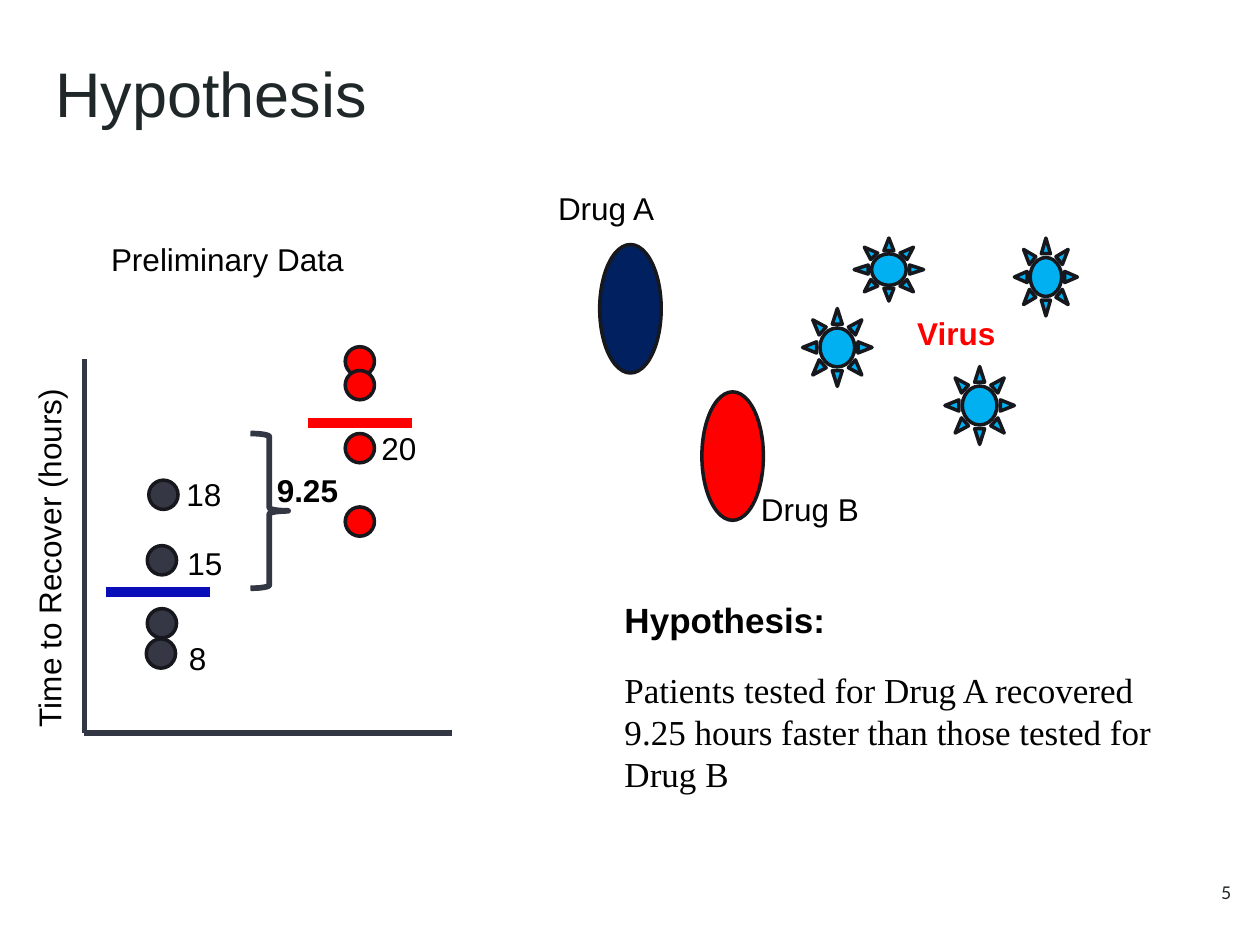
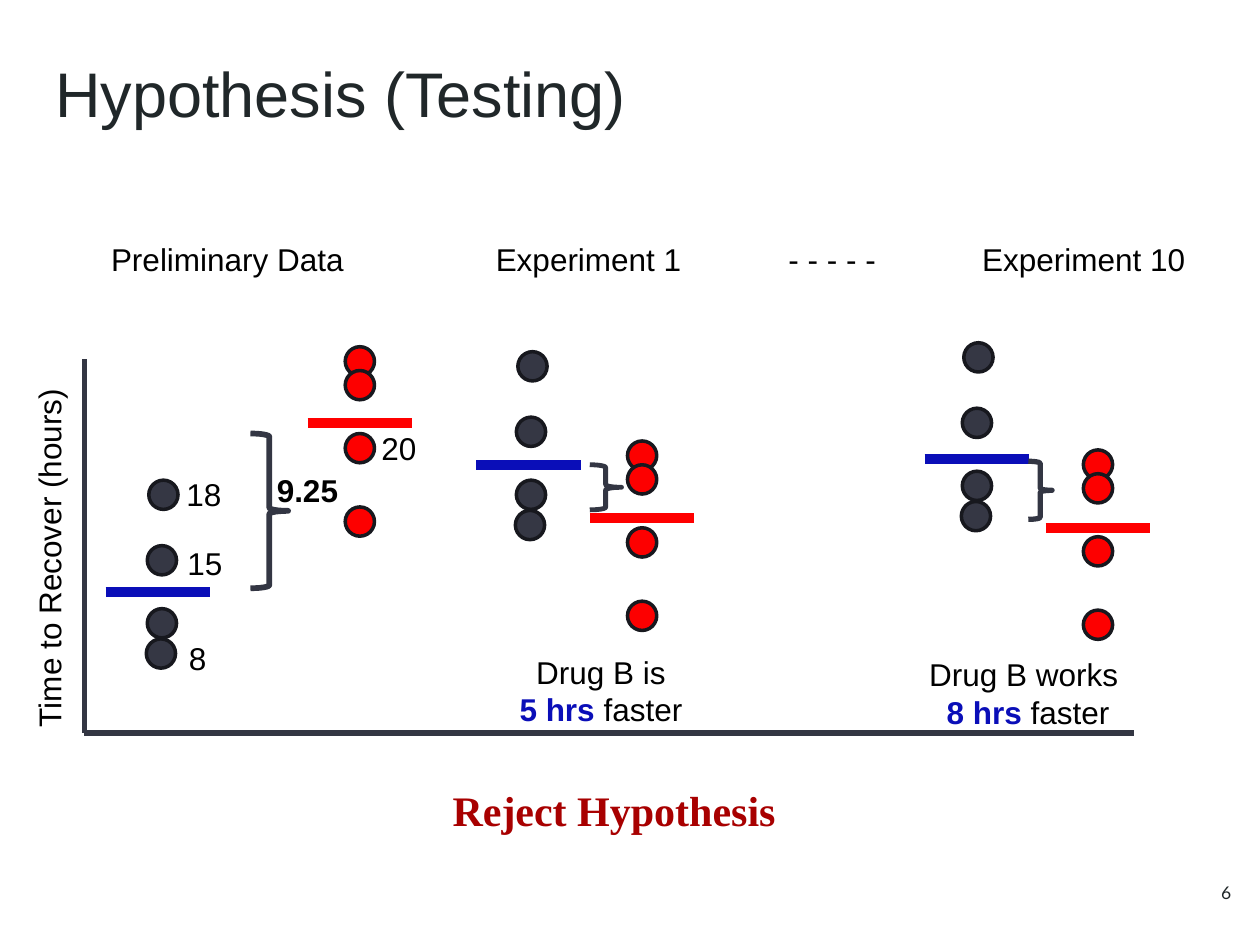
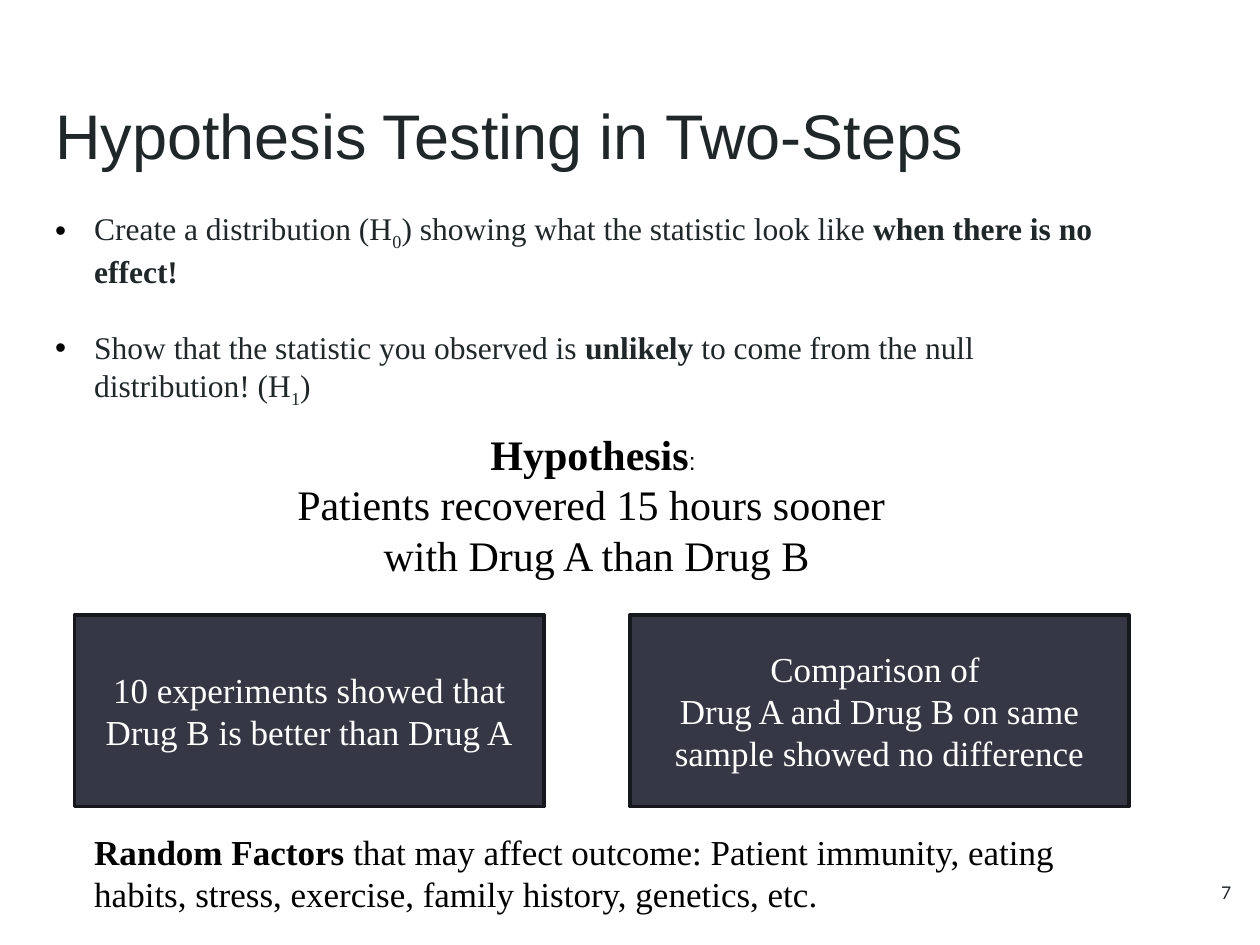
from dataclasses import dataclass
from typing import Optional

from lxml.etree import SubElement
from pptx import Presentation
from pptx.dml.color import RGBColor
from pptx.enum.shapes import MSO_CONNECTOR, MSO_SHAPE
from pptx.enum.text import MSO_ANCHOR, MSO_AUTO_SIZE, PP_ALIGN
from pptx.oxml.ns import qn
from pptx.util import Cm, Pt

# Shared colours and fonts
BLACK = RGBColor(0x00, 0x00, 0x00)
WHITE = RGBColor(0xFF, 0xFF, 0xFF)
INK = RGBColor(0x20, 0x27, 0x29)
SLATE = RGBColor(0x35, 0x37, 0x44)
AXIS = RGBColor(0x33, 0x36, 0x43)
OUTLINE = RGBColor(0x17, 0x18, 0x1E)
RED = RGBColor(0xFF, 0x00, 0x00)
DOT_RED = RGBColor(0xFD, 0x00, 0x00)
DARK_RED = RGBColor(0xA8, 0x00, 0x00)
BLUE = RGBColor(0x0A, 0x0E, 0xB8)
NAVY = RGBColor(0x00, 0x20, 0x60)
SKY = RGBColor(0x00, 0xB0, 0xF0)
SANS = "Arial"
SERIF = "Times New Roman"
NUMBER_FONT = "Lato"

# Dot positions in centimetres, relative to the top dot of each group
DRUG_A_DOTS = [(0, 0), (-0.03, 1.32), (-0.03, 2.59), (-0.05, 3.2)]
DRUG_B_DOTS = [(0, 0), (0, 0.48), (0, 1.75), (0, 3.23)]
DOT_SIZE = 0.59
MEAN_LENGTH = 2.11
LINE_HEIGHT = 1.02
HEADING_TOP = 4.72


@dataclass
class Run:
    """A piece of text with what differs from its text box."""
    text: str
    bold: Optional[bool] = None
    color: Optional[RGBColor] = None
    size: Optional[float] = None
    font: Optional[str] = None
    subscript: bool = False


def write_text(text_frame, paragraphs, size=18, font=SANS, color=BLACK,
               bold=False, align=PP_ALIGN.LEFT, gap=0, bullet=False):
    """Each paragraph is a string or a list of Runs."""
    text_frame.word_wrap = True
    for index, content in enumerate(paragraphs):
        paragraph = text_frame.paragraphs[0] if index == 0 else text_frame.add_paragraph()
        if bullet:
            add_bullet(paragraph)
        paragraph.alignment = align
        if index and gap:
            paragraph.space_before = Pt(gap)
        pieces = [Run(content)] if isinstance(content, str) else content
        for piece in pieces:
            run = paragraph.add_run()
            run.text = piece.text
            run.font.name = piece.font or font
            run.font.size = Pt(piece.size or size)
            run.font.bold = bold if piece.bold is None else piece.bold
            run.font.color.rgb = piece.color or color
            if piece.subscript:
                run.font._element.set("baseline", "-25000")


def add_bullet(paragraph):
    properties = paragraph._p.get_or_add_pPr()
    properties.set("marL", str(Cm(0.79)))
    properties.set("indent", str(Cm(-0.79)))
    bullet_color = SubElement(properties, qn("a:buClr"))
    SubElement(bullet_color, qn("a:srgbClr")).set("val", str(BLACK))
    SubElement(properties, qn("a:buFont")).set("typeface", SANS)
    SubElement(properties, qn("a:buChar")).set("char", "•")


def add_text(slide, box, *paragraphs, **style):
    shape = slide.shapes.add_textbox(*map(Cm, box))
    write_text(shape.text_frame, paragraphs, **style)
    return shape


def add_label(slide, left, top, text, width=2.5, **style):
    return add_text(slide, (left, top, width, LINE_HEIGHT), text, **style)


def add_heading(slide, left, text, width=6.35):
    add_label(slide, left, HEADING_TOP, text, width, align=PP_ALIGN.CENTER)


def add_filled_shape(slide, kind, box, fill):
    shape = slide.shapes.add_shape(kind, *map(Cm, box))
    shape.shadow.inherit = False
    shape.fill.solid()
    shape.fill.fore_color.rgb = fill
    shape.line.color.rgb = OUTLINE
    shape.line.width = Pt(2)
    return shape


def add_line(slide, start, end, color, width):
    points = map(Cm, (*start, *end))
    connector = slide.shapes.add_connector(MSO_CONNECTOR.STRAIGHT, *points)
    connector.line.color.rgb = color
    connector.line.width = Pt(width)
    SubElement(connector._element.spPr, qn("a:effectLst"))


def add_brace(slide, box, width):
    brace = slide.shapes.add_shape(MSO_SHAPE.RIGHT_BRACE, *map(Cm, box))
    brace.shadow.inherit = False
    brace.fill.background()
    brace.line.color.rgb = AXIS
    brace.line.width = Pt(width)


def add_dots(slide, left, top, offsets, fill):
    for across, down in offsets:
        box = (left + across, top + down, DOT_SIZE, DOT_SIZE)
        add_filled_shape(slide, MSO_SHAPE.OVAL, box, fill)


def add_mean(slide, left, top, color, width):
    add_line(slide, (left, top), (left + MEAN_LENGTH, top), color, width)


def add_comparison(slide, dots_a, mean_a, dots_b, mean_b, brace, brace_width):
    """Results of both drugs, their means and the gap between the means."""
    add_dots(slide, *dots_a, DRUG_A_DOTS, SLATE)
    add_dots(slide, *dots_b, DRUG_B_DOTS, DOT_RED)
    add_mean(slide, *mean_a, BLUE, 5.75)
    add_mean(slide, *mean_b, RED, 5.5)
    add_brace(slide, brace, brace_width)


def add_preliminary_plot(slide, axis_end):
    add_heading(slide, 1.22, "Preliminary Data", 6.73)
    add_line(slide, (1.7, 7.24), (1.7, 14.78), AXIS, 2.5)
    add_line(slide, (1.7, 14.78), (axis_end, 14.78), AXIS, 3.5)
    axis_title = add_label(slide, -2.72, 10.69, "Time to Recover (hours)", 7.42)
    axis_title.text_frame.word_wrap = False
    axis_title.rotation = 270
    add_comparison(slide, (3, 9.68), (2.13, 11.94), (6.96, 6.99), (6.2, 8.53),
                   (5.05, 8.74, 0.76, 3.12), 3.25)
    for left, top, value in [(3.51, 9.45, "18"), (3.53, 10.85, "15"),
                             (3.56, 12.75, "8"), (7.44, 8.53, "20")]:
        add_label(slide, left, top, value)
    add_label(slide, 5.33, 9.37, "9.25", 1.83, bold=True)


def add_slide(presentation, title_text, number, title_top=0.81):
    slide = presentation.slides.add_slide(presentation.slide_layouts[5])
    title = slide.shapes.title
    title.left, title.top, title.width, title.height = map(Cm, (0.86, title_top, 23.67, 2.11))
    write_text(title.text_frame, [title_text], size=36, color=INK)
    number_box = add_text(slide, (23.55, 17.27, 1.52, 1.45), str(number), size=10,
                          font=NUMBER_FONT, color=INK, align=PP_ALIGN.RIGHT)
    for shape in (title, number_box):
        frame = shape.text_frame
        frame.auto_size = MSO_AUTO_SIZE.NONE
        frame.vertical_anchor = MSO_ANCHOR.MIDDLE
        frame.margin_left = frame.margin_right = Cm(0.25)
        frame.margin_top = frame.margin_bottom = Cm(0.25)
    return slide


def build_hypothesis(presentation):
    slide = add_slide(presentation, "Hypothesis", 5)

    # Drugs and viruses
    for box in [(16.18, 6.22, 1.4, 1.57), (17.22, 4.8, 1.4, 1.27),
                (20.45, 4.8, 1.27, 1.57), (19.05, 7.39, 1.4, 1.57)]:
        add_filled_shape(slide, MSO_SHAPE.SUN, box, SKY)
    for left, top, color in [(12.09, 4.93, NAVY), (14.15, 7.9, RED)]:
        add_filled_shape(slide, MSO_SHAPE.OVAL, (left, top, 1.24, 2.59), color)
    add_label(slide, 11, 3.68, "Drug A", 2.8)
    add_label(slide, 15.09, 9.75, "Drug B", 2.8)
    add_label(slide, 18.24, 6.2, "Virus", 2.21, bold=True, color=DOT_RED)

    add_preliminary_plot(slide, 9.12)
    add_text(slide, (12.34, 11.94, 11.58, 4.27),
             [Run("Hypothesis:", bold=True, font=SANS)],
             "Patients tested for Drug A recovered 9.25 hours faster "
             "than those tested for Drug B",
             size=20, font=SERIF, gap=16)


def build_testing(presentation):
    slide = add_slide(presentation, "Hypothesis (Testing)", 6)
    add_preliminary_plot(slide, 22.86)

    # Repeated experiments
    for left, heading in [(8.69, "Experiment 1"), (13.69, "- - - - - "),
                          (18.67, "Experiment 10")]:
        add_heading(slide, left, heading)
    add_comparison(slide, (10.44, 7.09), (9.6, 9.37), (12.65, 8.89), (11.89, 10.44),
                   (11.89, 9.37, 0.64, 0.91), 2.75)
    add_comparison(slide, (19.43, 6.91), (18.64, 9.25), (21.84, 9.07), (21.08, 10.64),
                   (20.73, 9.3, 0.48, 1.17), 3)

    # Findings
    for left, top, finding, hours in [(8.94, 13.03, "Drug B is", "5 hrs "),
                                      (17.55, 13.08, "Drug B works ", "8 hrs ")]:
        add_text(slide, (left, top, 6.35, 1.8), finding,
                 [Run(hours, bold=True, color=BLUE), Run("faster")],
                 align=PP_ALIGN.CENTER)
    add_label(slide, 0.86, 15.7, "Reject Hypothesis", 23.04, size=24, font=SERIF,
              color=DARK_RED, bold=True, align=PP_ALIGN.CENTER)


def build_two_steps(presentation):
    slide = add_slide(presentation, "Hypothesis Testing in Two-Steps", 7, 1.65)

    # The two steps
    add_text(slide, (0.86, 4.09, 22.17, 4.88),
             [Run("Create a distribution (H"), Run("0", subscript=True),
              Run(") showing what the statistic look like "),
              Run("when there is no effect!", bold=True)],
             [Run("Show that the statistic you observed is "),
              Run("unlikely", bold=True),
              Run(" to come from the null distribution! (H"),
              Run("1", subscript=True), Run(")")],
             font=SERIF, color=INK, gap=22, bullet=True)
    add_text(slide, (1.98, 8.51, 20.09, 3.33),
             [Run("Hypothesis", bold=True), Run(": ", size=14, font=SANS)],
             "Patients recovered 15 hours sooner ",
             "with Drug A than Drug B",
             size=24, font=SERIF, align=PP_ALIGN.CENTER)

    # Evidence boxes
    for left, width, lines in [
            (1.5, 9.47, ["10 experiments showed that Drug B is better than Drug A"]),
            (12.7, 10.06, ["Comparison of ",
                           "Drug A and Drug B on same sample showed no difference"])]:
        box = add_filled_shape(slide, MSO_SHAPE.RECTANGLE, (left, 12.4, width, 3.86), SLATE)
        box.text_frame.vertical_anchor = MSO_ANCHOR.MIDDLE
        write_text(box.text_frame, lines, size=20, font=SERIF, color=WHITE,
                   align=PP_ALIGN.CENTER)

    add_text(slide, (1.65, 16.61, 20.78, 1.96),
             [Run("Random Factors ", bold=True),
              Run("that may affect outcome: Patient immunity, eating habits, stress, "
                  "exercise, family history, genetics, etc.")],
             size=20, font=SERIF)


def main():
    presentation = Presentation()
    presentation.slide_width = Cm(25.4)
    presentation.slide_height = Cm(19.05)
    build_hypothesis(presentation)
    build_testing(presentation)
    build_two_steps(presentation)
    presentation.save("out.pptx")


if __name__ == "__main__":
    main()
